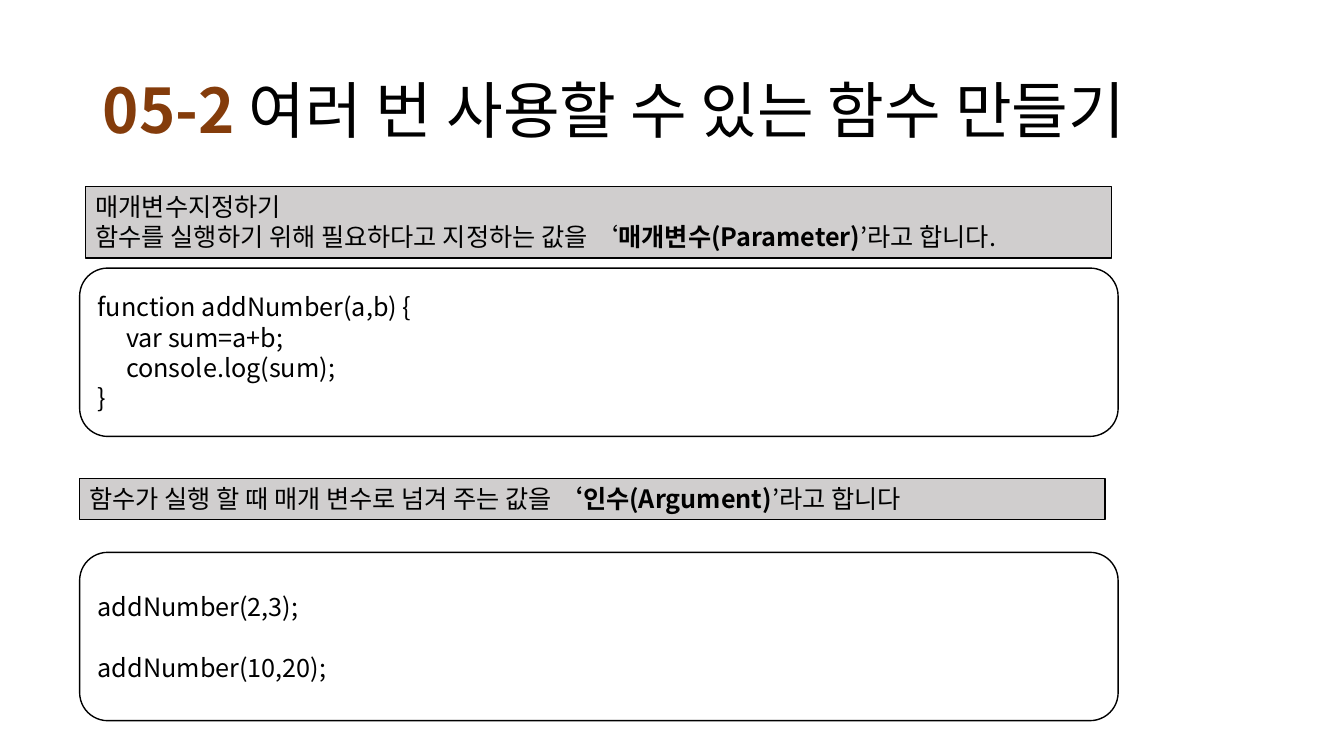
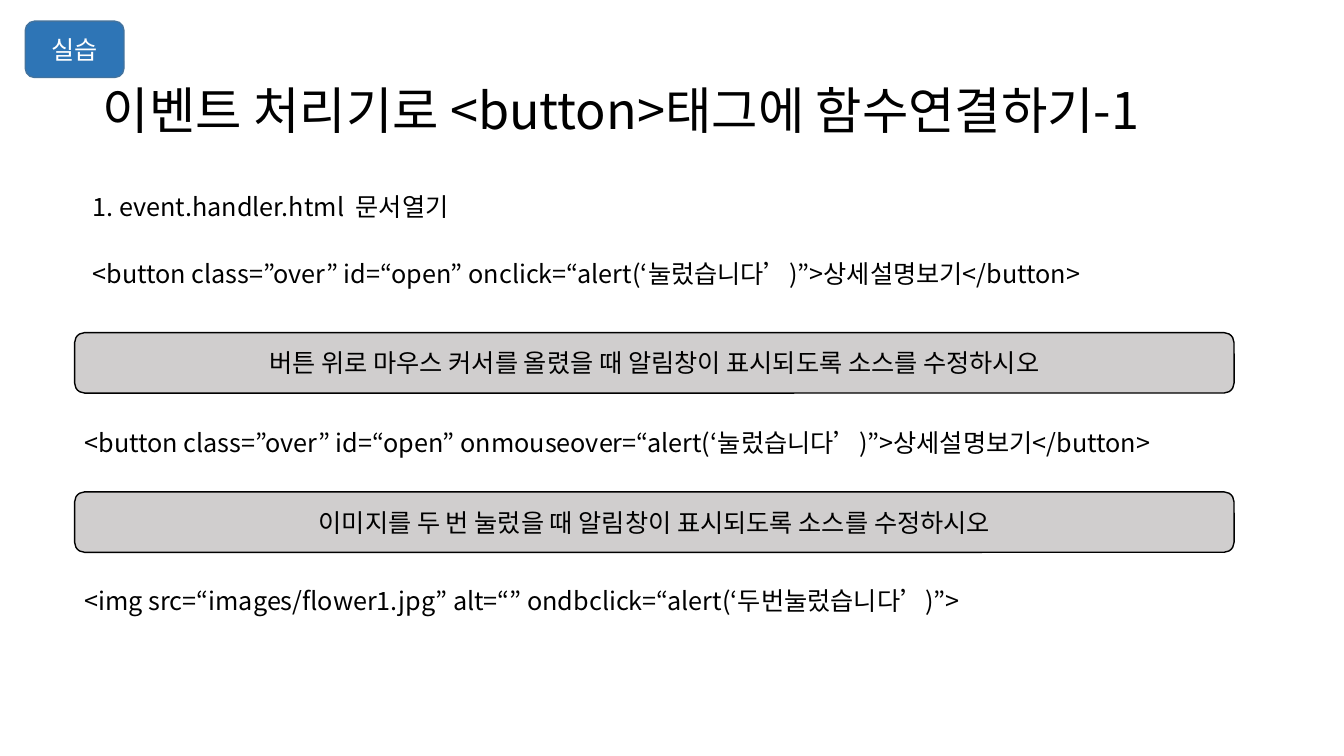
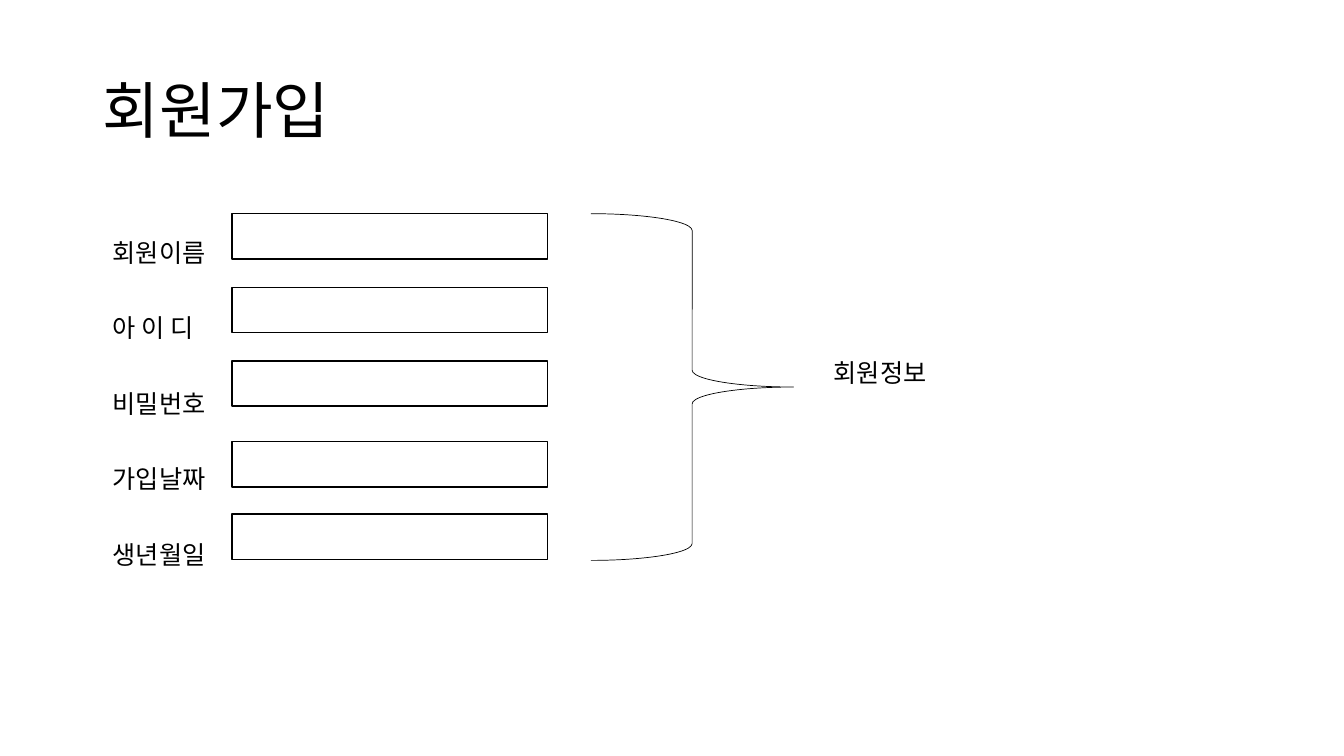
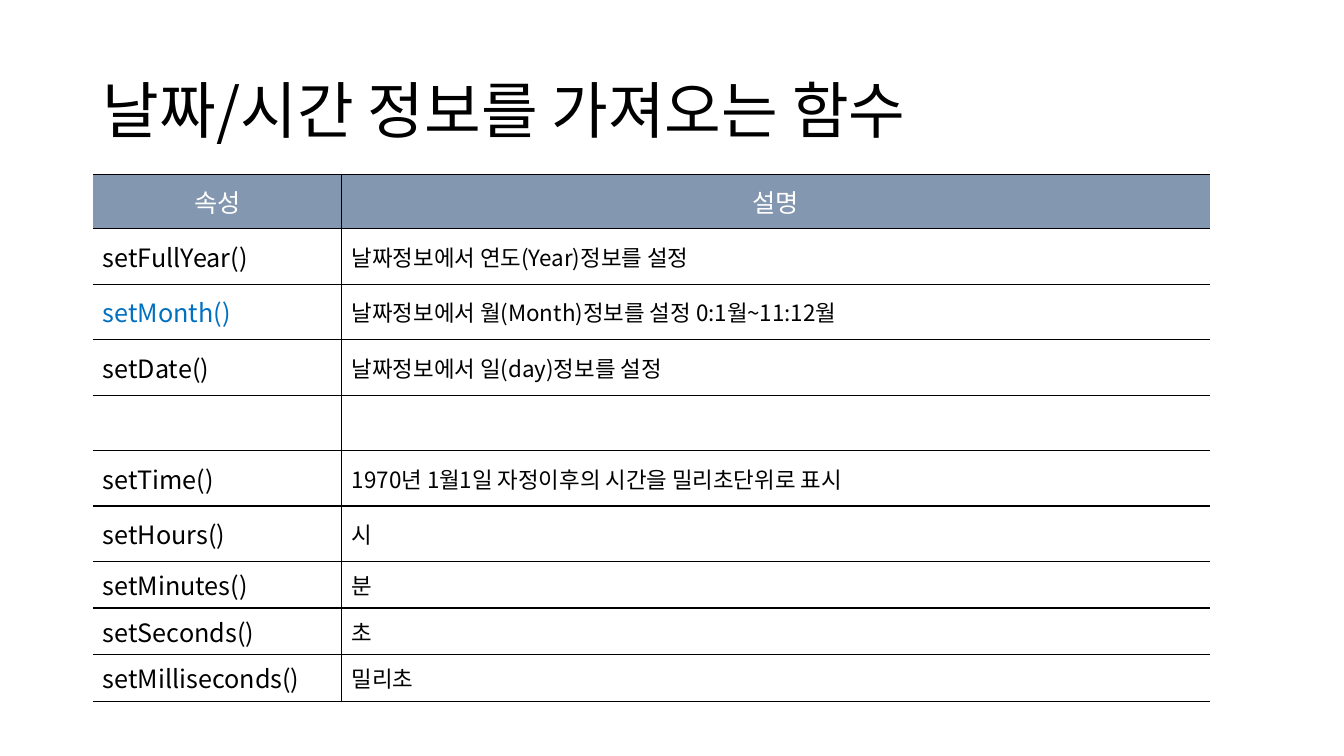
from lxml import etree
from pptx import Presentation
from pptx.dml.color import RGBColor
from pptx.enum.shapes import MSO_SHAPE
from pptx.enum.text import MSO_ANCHOR, MSO_AUTO_SIZE, PP_ALIGN
from pptx.oxml.ns import qn
from pptx.util import Inches, Pt

RECTANGLE = MSO_SHAPE.RECTANGLE
ROUNDED = MSO_SHAPE.ROUNDED_RECTANGLE
BRACE = MSO_SHAPE.RIGHT_BRACE
TOP, MIDDLE = MSO_ANCHOR.TOP, MSO_ANCHOR.MIDDLE
LEFT, CENTER = PP_ALIGN.LEFT, PP_ALIGN.CENTER
NO_AUTOFIT = MSO_AUTO_SIZE.NONE

FONT = "Noto Sans CJK KR"
BLACK, WHITE = "000000", "FFFFFF"
BROWN, GREY = "843C0B", "D0CECE"
BLUE, DARK_BLUE, LINK_BLUE = "2E75B6", "43739E", "0070C0"
HEADER_BLUE = "8497B0"
BODY_SIZE = 18
TITLE_ONLY = 5
TITLE_BOX = (0.92, 0.4, 11.5, 1.45)


def color(hex_text):
    """Turn a hex string into a colour."""
    return RGBColor.from_string(hex_text)


def add_run(paragraph, text, size=BODY_SIZE, ink=BLACK, bold=False):
    """Add one run with Latin and East Asian fonts set."""
    run = paragraph.add_run()
    run.text = text
    run.font.size = Pt(size)
    run.font.bold = bold
    run.font.name = FONT
    run.font.color.rgb = color(ink)
    latin = run.font._element.find(qn("a:latin"))
    east_asian = etree.Element(qn("a:ea"), typeface=FONT)
    latin.addnext(east_asian)


def write(frame, paragraphs, anchor=TOP, align=LEFT, ink=BLACK, spacing=None, gap=0):
    """Write paragraphs, each a string or a list of (text, bold) runs."""
    frame.word_wrap = True
    frame.vertical_anchor = anchor
    for index, content in enumerate(paragraphs):
        paragraph = frame.add_paragraph() if index else frame.paragraphs[0]
        paragraph.alignment = align
        if spacing:
            paragraph.line_spacing = spacing
        if index and gap:
            paragraph.space_before = Pt(gap)
        runs = [(content, False)] if isinstance(content, str) else content
        for text, bold in runs:
            add_run(paragraph, text, ink=ink, bold=bold)


def add_label(slide, box, paragraphs, **style):
    """Add a plain text box."""
    label = slide.shapes.add_textbox(*map(Inches, box))
    write(label.text_frame, paragraphs, **style)


def add_panel(slide, kind, box, fill=WHITE, line=BLACK, width=1.0, paragraphs=(), **style):
    """Add an outlined shape, filled unless fill is None, with optional text."""
    shape = slide.shapes.add_shape(kind, *map(Inches, box))
    shape.shadow.inherit = False
    if fill:
        shape.fill.solid()
        shape.fill.fore_color.rgb = color(fill)
    else:
        shape.fill.background()
    shape.line.color.rgb = color(line)
    shape.line.width = Pt(width)
    if paragraphs:
        write(shape.text_frame, paragraphs, **style)


def add_titled_slide(presentation, runs, size=44, box=TITLE_BOX):
    """Add a slide whose title holds (text, colour, bold) runs."""
    slide = presentation.slides.add_slide(presentation.slide_layouts[TITLE_ONLY])
    title = slide.shapes.title
    title.left, title.top, title.width, title.height = map(Inches, box)
    frame = title.text_frame
    frame.auto_size = NO_AUTOFIT
    frame.word_wrap = True
    frame.vertical_anchor = MIDDLE
    paragraph = frame.paragraphs[0]
    paragraph.alignment = LEFT
    paragraph.line_spacing = 0.9
    for text, ink, bold in runs:
        add_run(paragraph, text, size, ink, bold)
    return slide


def add_definition(slide, box, paragraphs):
    """Add a grey box that defines a term."""
    add_panel(slide, RECTANGLE, box, GREY, width=0.75, paragraphs=paragraphs)


def add_code(slide, top, lines, gap=0):
    """Add a rounded box of code."""
    add_panel(slide, ROUNDED, (0.79, top, 10.3, 1.67), paragraphs=lines,
              anchor=MIDDLE, gap=gap)


def add_task(slide, top, text):
    """Add a grey bar with an exercise."""
    add_panel(slide, ROUNDED, (0.74, top, 11.5, 0.6), GREY, paragraphs=[text],
              anchor=MIDDLE, align=CENTER)


def build_parameters(presentation):
    """Build the slide on parameters and arguments."""
    slide = add_titled_slide(
        presentation,
        [("05-2 ", BROWN, True), ("여러 번 사용할 수 있는 함수 만들기", BLACK, False)],
        box=(0.92, 0.4, 12.07, 1.45))
    add_code(slide, 2.66, ["function addNumber(a,b) {", "     var sum=a+b;",
                           "     console.log(sum);", "}"])
    add_definition(slide, (0.85, 1.85, 10.17, 0.71), [
        "매개변수지정하기",
        [("함수를 실행하기 위해 필요하다고 지정하는 값을 ‘", False),
         ("매개변수(Parameter)", True), ("’라고 합니다.", False)]])
    add_code(slide, 5.48, ["addNumber(2,3);", "addNumber(10,20);"], gap=22)
    add_definition(slide, (0.79, 4.75, 10.17, 0.4), [
        [("함수가 실행 할 때 매개 변수로 넘겨 주는 값을 ", False),
         ("‘인수(Argument)", True), ("’라고 합니다", False)]])


def build_events(presentation):
    """Build the practice slide on event handlers."""
    slide = add_titled_slide(
        presentation,
        [("이벤트 처리기로 <button>태그에 함수연결하기-1", BLACK, False)], size=36)
    add_panel(slide, ROUNDED, (0.25, 0.21, 0.98, 0.56), BLUE, DARK_BLUE,
              paragraphs=["실습"], anchor=MIDDLE, align=CENTER, ink=WHITE)
    sources = [
        (0.82, 1.85, "1. event.handler.html  문서열기"),
        (0.82, 2.51, "<button class=”over” id=“open” onclick=“alert(‘눌렀습니다’)”>상세설명보기</button>"),
        (0.74, 4.19, "<button class=”over” id=“open” onmouseover=“alert(‘눌렀습니다’)”>상세설명보기</button>"),
        (0.74, 5.76, "<img src=“images/flower1.jpg” alt=“” ondbclick=“alert(‘두번눌렀습니다’)”>"),
    ]
    for left, top, text in sources:
        add_label(slide, (left, top, 11.5, 0.4), [text])
    add_task(slide, 3.3, "버튼 위로 마우스 커서를 올렸을 때 알림창이 표시되도록 소스를 수정하시오")
    add_task(slide, 4.88, "이미지를 두 번 눌렀을 때 알림창이 표시되도록 소스를 수정하시오")


def build_membership(presentation):
    """Build the sign-up form slide."""
    slide = add_titled_slide(presentation, [("회원가입", BLACK, False)])
    add_label(slide, (1.02, 1.85, 3.19, 3.89),
              ["회원이름", "아 이 디", "비밀번호", "가입날짜", "생년월일"], spacing=2.5)
    for top in (2.12, 2.85, 3.58, 4.38, 5.1):
        add_panel(slide, RECTANGLE, (2.3, top, 3.13, 0.45))
    add_panel(slide, BRACE, (5.86, 2.12, 2.01, 3.44), fill=None, width=0.5)
    add_label(slide, (8.17, 3.5, 1.92, 0.4), ["회원정보"])


def set_borders(cell, visible):
    """Draw the named cell edges in black and hide the others."""
    properties = cell._tc.get_or_add_tcPr()
    for edge in "LRTB":
        line = etree.SubElement(properties, qn(f"a:ln{edge}"), w=str(Pt(1)))
        if edge in visible:
            fill = etree.SubElement(line, qn("a:solidFill"))
            etree.SubElement(fill, qn("a:srgbClr"), val=BLACK)
        else:
            etree.SubElement(line, qn("a:noFill"))


def fill_cell(cell, text, size, ink, fill, align, visible):
    """Format one table cell and write its text."""
    set_borders(cell, visible)
    cell.fill.solid()
    cell.fill.fore_color.rgb = color(fill)
    cell.vertical_anchor = MIDDLE
    paragraph = cell.text_frame.paragraphs[0]
    paragraph.alignment = align
    if text:
        add_run(paragraph, text, size, ink)


def add_function_table(slide, left, top, widths, heights, rows):
    """Add a two-column table with a coloured header row."""
    table = slide.shapes.add_table(
        len(rows), len(widths), Inches(left), Inches(top),
        Inches(sum(widths)), Inches(sum(heights))).table
    table.first_row = table.horz_banding = False
    for column, width in zip(table.columns, widths):
        column.width = Inches(width)
    for row_index, (values, height) in enumerate(zip(rows, heights)):
        table.rows[row_index].height = Inches(height)
        for column_index, text in enumerate(values):
            header = row_index == 0
            size = 16 if column_index and not header else BODY_SIZE
            ink = WHITE if header else LINK_BLUE if text == "setMonth()" else BLACK
            fill_cell(table.cell(row_index, column_index), text, size, ink,
                      HEADER_BLUE if header else WHITE,
                      CENTER if header else LEFT,
                      "LTB" if column_index else "RTB")


def build_date_functions(presentation):
    """Build the slide with the table of date functions."""
    slide = add_titled_slide(presentation, [("날짜/시간 정보를 가져오는 함수", BLACK, False)])
    rows = [
        ("속성", "설명"),
        ("setFullYear()", "날짜정보에서 연도(Year)정보를 설정"),
        ("setMonth()", "날짜정보에서 월(Month)정보를 설정 0:1월~11:12월"),
        ("setDate()", "날짜정보에서 일(day)정보를 설정"),
        ("", ""),
        ("setTime()", "1970년 1월1일 자정이후의 시간을 밀리초단위로 표시"),
        ("setHours()", "시"),
        ("setMinutes()", "분"),
        ("setSeconds()", "초"),
        ("setMilliseconds()", "밀리초"),
    ]
    heights = [0.54] + [0.55] * 6 + [0.46] * 3
    add_function_table(slide, 0.92, 1.73, (2.47, 8.61), heights, rows)


def main():
    """Build and save the presentation."""
    presentation = Presentation()
    presentation.slide_width = Inches(13.33)
    presentation.slide_height = Inches(7.5)
    build_parameters(presentation)
    build_events(presentation)
    build_membership(presentation)
    build_date_functions(presentation)
    presentation.save("out.pptx")


if __name__ == "__main__":
    main()
